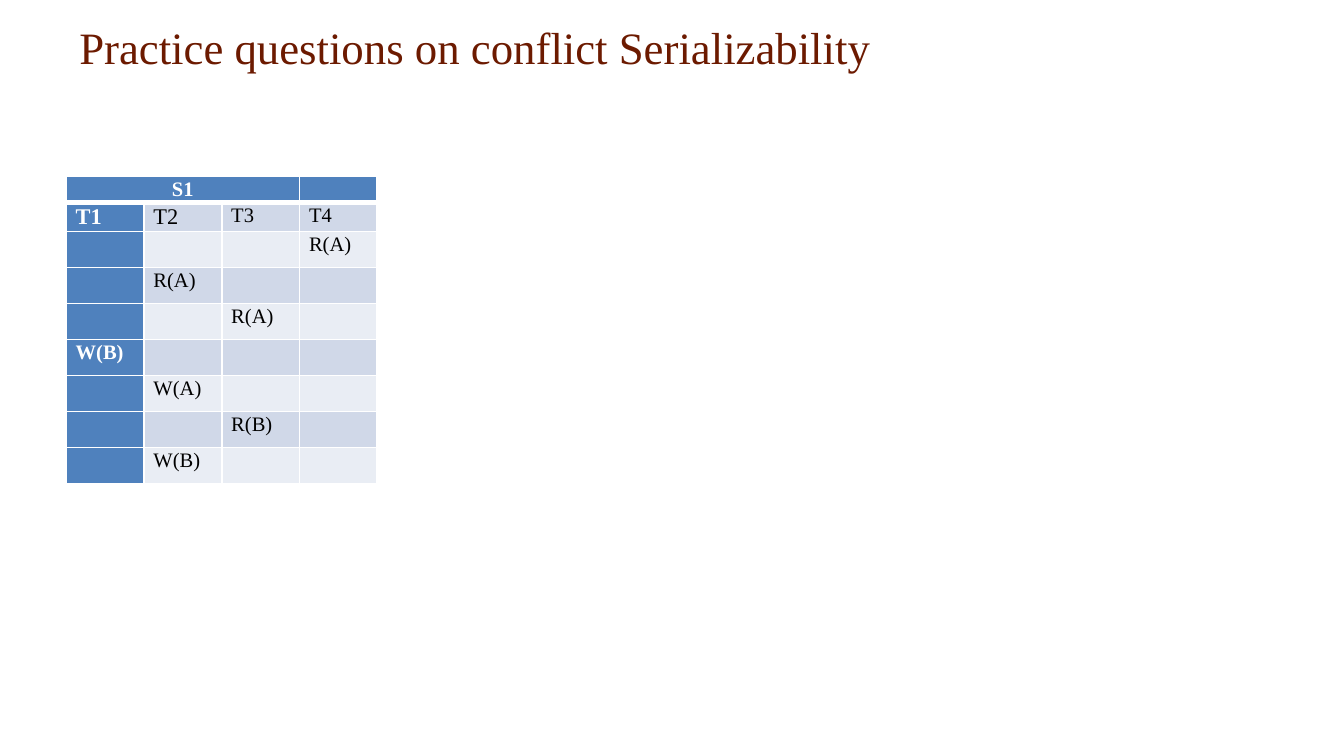
"""Build the conflict serializability practice slide."""
from lxml.etree import SubElement
from pptx import Presentation
from pptx.dml.color import RGBColor
from pptx.enum.text import MSO_ANCHOR as ANCHOR, PP_ALIGN as ALIGN
from pptx.oxml.ns import qn
from pptx.util import Cm, Pt

COLORS = {"title": "6C1A00", "head": "4F81BD", "odd": "D0D8E8",
          "even": "E9EDF4", "white": "FFFFFF", "black": "000000"}
FONT = "Times New Roman"
ROWS = [
    ["S1", "", "", ""],
    ["T1", "T2", "T3", "T4"],
    ["", "", "", "R(A)"],
    ["", "R(A)", "", ""],
    ["", "", "R(A)", ""],
    ["W(B)", "", "", ""],
    ["", "W(A)", "", ""],
    ["", "", "R(B)", ""],
    ["", "W(B)", "", ""],
]
HEIGHTS = [0.44, 0.48] + [0.68] * 7
COL_WIDTH = 1.47
MARGINS = {"margin_left": Cm(0.18), "margin_right": Cm(0.18),
           "margin_top": 0, "margin_bottom": 0}


def add_run(p, text, size, color, bold=False):
    r = p.add_run()
    r.text = text
    for name, value in {"name": FONT, "size": Pt(size), "bold": bold}.items():
        setattr(r.font, name, value)
    r.font.color.rgb = RGBColor.from_string(COLORS[color])


def add_borders(cell, widths):
    tc_pr = cell._tc.get_or_add_tcPr()
    for side, width in widths.items():
        ln = SubElement(tc_pr, qn(f"a:ln{side}"), w=str(Pt(width)))
        fill = SubElement(ln, qn("a:solidFill"))
        SubElement(fill, qn("a:srgbClr"), val=COLORS["white"])


prs = Presentation()
prs.slide_width, prs.slide_height = Cm(25.4), Cm(14.28)
s = prs.slides.add_slide(prs.slide_layouts[6])

tf = s.shapes.add_textbox(Cm(1.25), Cm(0.24), Cm(22.9), Cm(1.27)).text_frame
tf.word_wrap = True
tf.vertical_anchor = ANCHOR.MIDDLE
add_run(tf.paragraphs[0], "Practice questions on conflict Serializability",
        24, "title")

table = s.shapes.add_table(len(ROWS), 4, Cm(1.25), Cm(3.33),
                           Cm(4 * COL_WIDTH), Cm(sum(HEIGHTS))).table
table.first_col = True
for column in table.columns:
    column.width = Cm(COL_WIDTH)

for i, texts in enumerate(ROWS):
    table.rows[i].height = Cm(HEIGHTS[i])
    for j, text in enumerate(texts):
        cell = table.cell(i, j)
        for name, value in MARGINS.items():
            setattr(cell, name, value)
        add_borders(cell, {"L": 1, "R": 1, "T": 3 if i == 1 else 1,
                           "B": 3 if i == 0 else 1})
        header = i == 0 or j == 0
        band = "head" if header else "odd" if i % 2 else "even"
        cell.fill.solid()
        cell.fill.fore_color.rgb = RGBColor.from_string(COLORS[band])
        p = cell.text_frame.paragraphs[0]
        p.line_spacing, p.space_after = 1.07, Pt(8)
        if text:
            size = 12 if text in ("T1", "T2") else 11
            add_run(p, text, size, "white" if header else "black", header)
        else:
            SubElement(p._p, qn("a:endParaRPr"), sz="1100")

table.cell(0, 0).merge(table.cell(0, 2))
table.cell(0, 0).text_frame.paragraphs[0].alignment = ALIGN.CENTER

prs.save("out.pptx")
